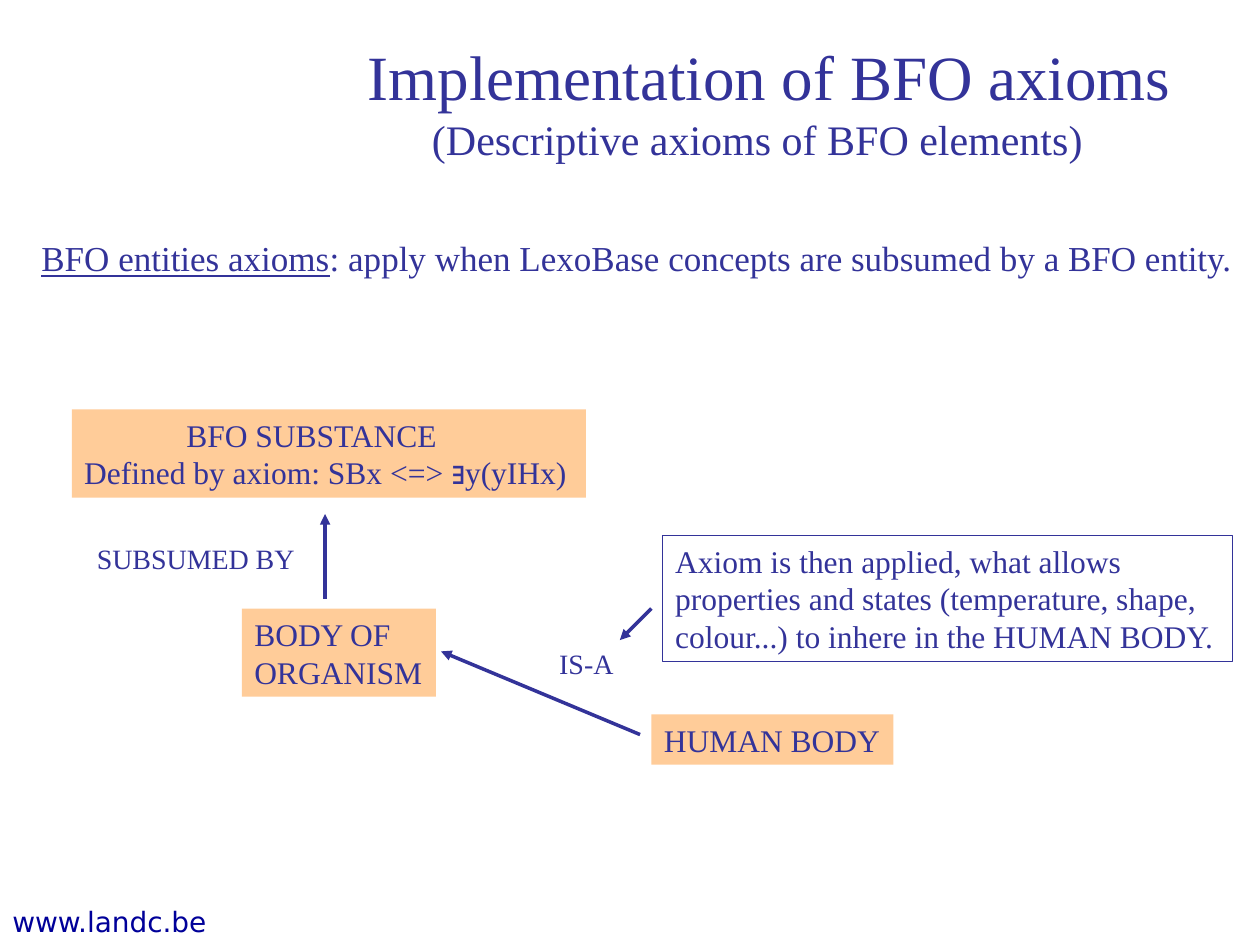
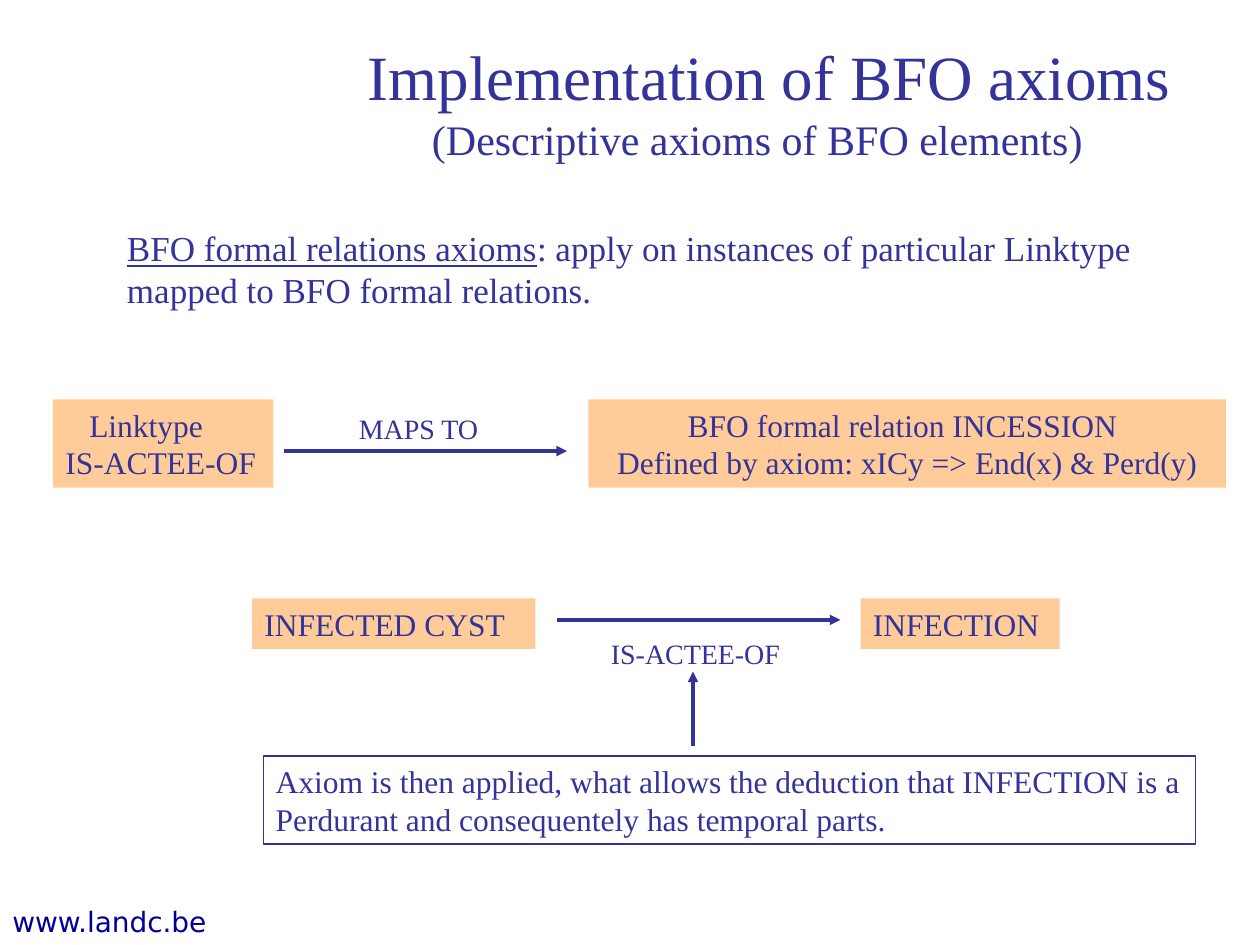
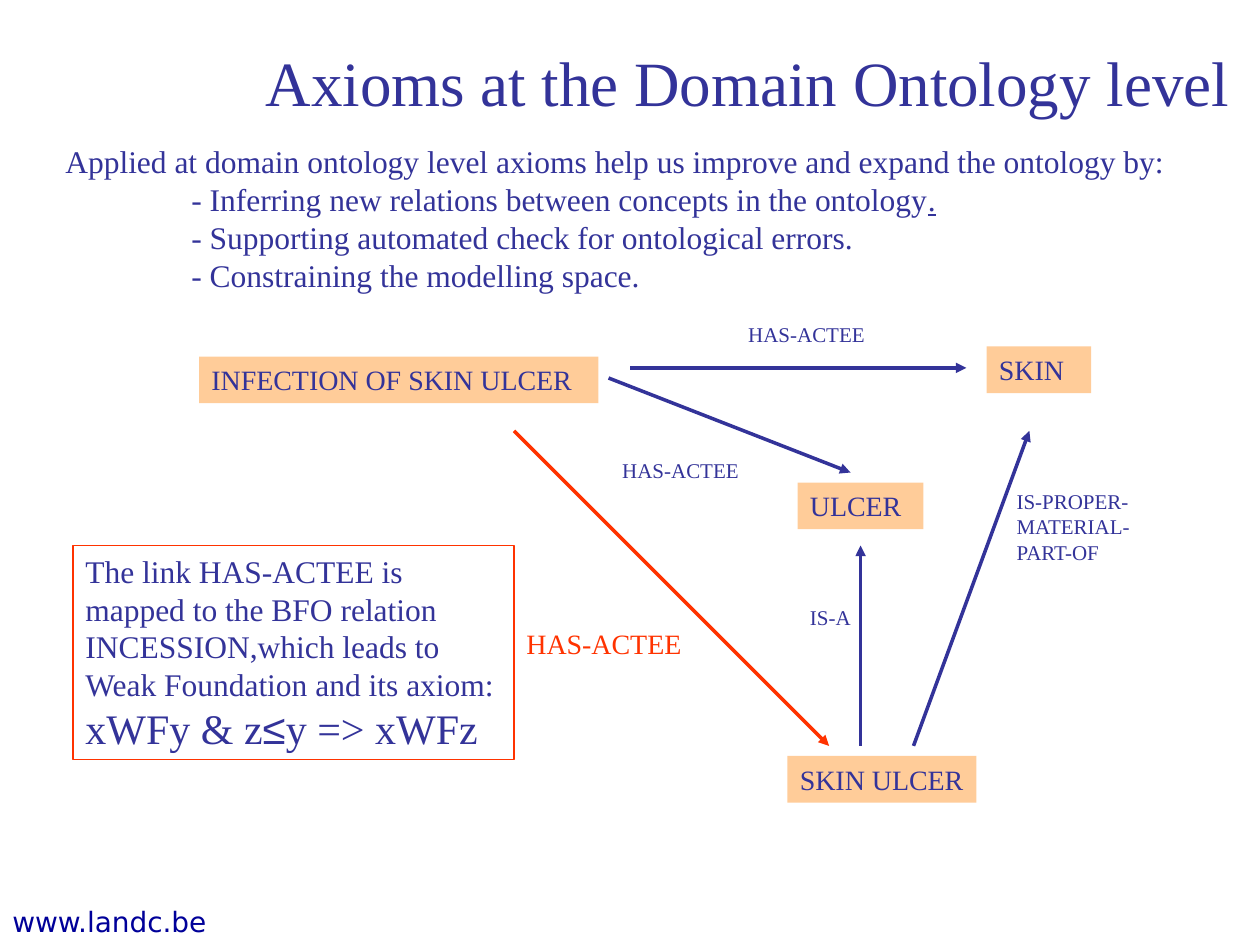
import pptx
import pptx.dml.color
import pptx.enum.shapes
import pptx.enum.text
import pptx.oxml
import pptx.oxml.ns
import pptx.util
from pptx.util import Inches

SERIF = "Times New Roman"
SYMBOL = "Arial"
INDIGO, PEACH, RED, NAVY = "333399", "FFCC99", "FF3300", "000099"


def color(hex_string):
    return pptx.dml.color.RGBColor.from_string(hex_string)


def fill_text(shape, paragraphs, size, ink=INDIGO, font=SERIF, indents=()):
    """Each paragraph is a string or a list of (text, overrides) runs."""
    frame = shape.text_frame
    frame.word_wrap = True
    frame.auto_size = pptx.enum.text.MSO_AUTO_SIZE.SHAPE_TO_FIT_TEXT
    frame.vertical_anchor = pptx.enum.text.MSO_ANCHOR.TOP
    for index, content in enumerate(paragraphs):
        paragraph = frame.paragraphs[0] if index == 0 else frame.add_paragraph()
        paragraph.alignment = pptx.enum.text.PP_ALIGN.LEFT
        if index < len(indents):
            paragraph._p.get_or_add_pPr().set("marL", str(Inches(indents[index])))
        runs = [(content, {})] if isinstance(content, str) else content
        for text, style in runs:
            run = paragraph.add_run()
            run.text = text
            run.font.name = style.get("font", font)
            run.font.size = pptx.util.Pt(style.get("size", size))
            run.font.underline = style.get("underline", False)
            run.font.color.rgb = color(ink)


class Region:
    """A part of a slide whose contents are placed relative to its corner."""

    def __init__(self, slide, left, top):
        self.shapes, self.left, self.top = slide.shapes, left, top

    def at(self, x, y):
        return Inches(self.left + x), Inches(self.top + y)

    def label(self, x, y, width, height, *paragraphs, size=16, **style):
        box = self.shapes.add_textbox(*self.at(x, y), Inches(width), Inches(height))
        fill_text(box, paragraphs, size, **style)

    def rectangle(self, x, y, width, height, paragraphs, size, style):
        box = self.shapes.add_shape(pptx.enum.shapes.MSO_SHAPE.RECTANGLE,
                                    *self.at(x, y), Inches(width), Inches(height))
        box.shadow.inherit = False
        fill_text(box, paragraphs, size, **style)
        return box

    def concept(self, x, y, width, height, *paragraphs, size=18, **style):
        box = self.rectangle(x, y, width, height, paragraphs, size, style)
        box.fill.solid()
        box.fill.fore_color.rgb = color(PEACH)
        box.line.fill.background()

    def note(self, x, y, width, height, *paragraphs, border=INDIGO, **style):
        box = self.rectangle(x, y, width, height, paragraphs, 18, style)
        box.fill.background()
        box.line.color.rgb = color(border)
        box.line.width = pptx.util.Pt(0.75)

    def arrow(self, start, end, ink=INDIGO):
        link = self.shapes.add_connector(pptx.enum.shapes.MSO_CONNECTOR.STRAIGHT,
                                         *self.at(*start), *self.at(*end))
        link.line.color.rgb = color(ink)
        link.line.width = pptx.util.Pt(2)
        head = pptx.oxml.parse_xml(
            f'<a:tailEnd {pptx.oxml.ns.nsdecls("a")} type="triangle"/>')
        link.line._get_or_add_ln().append(head)
        link._element.spPr.append(
            pptx.oxml.parse_xml(f'<a:effectLst {pptx.oxml.ns.nsdecls("a")}/>'))


# Shared parts

def new_slide(prs):
    slide = prs.slides.add_slide(prs.slide_layouts[6])
    Region(slide, 0, 7.13).label(0, 0, 2, 0.37, "www.landc.be",
                                 ink=NAVY, font="DejaVu Sans")
    return slide


def title(slide, left, top, width, text):
    Region(slide, left, top).label(0, 0, width, 0.7, text, size=36)


def bfo_heading(slide):
    title(slide, 2.82, 0.25, 6.7, "Implementation of BFO axioms")
    Region(slide, 2.75, 0.85).label(0, 0, 6.11, 0.9, "(Descriptive axioms of BFO elements)",
                                    size=24, indents=[0.58])


def axiom_statement(slide, left, top, width, height, term, meaning):
    Region(slide, left, top).label(0, 0, width, height,
                                   [(term, {"underline": True}), (meaning, {})],
                                   size=20)


# Entity axioms

def substance_region(slide, left, top):
    region = Region(slide, left, top)
    region.concept(0.07, 0, 4.08, 0.7, "BFO SUBSTANCE",
                   [("Defined by axiom: SBx <=> ", {}), ("∃", {"font": SYMBOL}),
                    ("y(yIHx)", {})],
                   indents=[0.81])
    region.concept(1.42, 1.58, 1.54, 0.7, "BODY OF ORGANISM")
    region.arrow((2.08, 1.5), (2.08, 0.83))
    region.label(0.17, 1, 1.85, 0.37, "SUBSUMED BY")


def human_body_region(slide, left, top):
    region = Region(slide, left, top)
    region.concept(1.67, 1.42, 1.92, 0.4, "HUMAN BODY")
    region.arrow((1.58, 1.58), (0, 0.92))
    region.label(0.84, 0.83, 0.7, 0.37, "IS-A")
    region.note(1.76, 0, 4.52, 1, "Axiom is then applied, what allows",
                "properties and states (temperature, shape,",
                "colour...) to inhere in the HUMAN BODY.")
    region.arrow((1.67, 0.58), (1.42, 0.83))


def entity_axioms_slide(prs):
    slide = new_slide(prs)
    bfo_heading(slide)
    axiom_statement(slide, 0.23, 1.83, 9.75, 0.44, "BFO entities axioms",
                    ": apply when LexoBase concepts are subsumed by a BFO entity.")
    substance_region(slide, 0.5, 3.25)
    human_body_region(slide, 3.5, 4.25)


# Formal relation axioms

def mapping_region(slide, left, top):
    region = Region(slide, left, top)
    region.concept(4.25, 0, 5.06, 0.7, "BFO formal relation INCESSION",
                   "Defined by axiom: xICy => End(x) & Perd(y)", indents=[0.69, 0.13])
    region.concept(0, 0, 1.75, 0.7, "Linktype", "IS-ACTEE-OF", indents=[0.19])
    region.arrow((1.83, 0.41), (4.08, 0.41))
    region.label(2.33, 0.05, 1.25, 0.37, "MAPS TO")


def infection_region(slide, left, top):
    region = Region(slide, left, top)
    region.concept(0, 0, 2.25, 0.4, "INFECTED CYST")
    region.concept(4.83, 0, 1.58, 0.4, "INFECTION")
    region.arrow((2.42, 0.17), (4.67, 0.17))
    region.label(2.75, 0.25, 1.65, 0.37, "IS-ACTEE-OF")
    region.note(0.09, 1.25, 7.4, 0.7,
                "Axiom is then applied, what allows the deduction that INFECTION is a",
                "Perdurant and consequentely has temporal parts.")
    region.arrow((3.5, 1.17), (3.5, 0.58))


def relation_axioms_slide(prs):
    slide = new_slide(prs)
    bfo_heading(slide)
    axiom_statement(slide, 0.91, 1.75, 8.67, 0.77, "BFO formal relations axioms",
                    ": apply on instances of particular Linktype mapped to BFO"
                    " formal relations.")
    mapping_region(slide, 0.42, 3.17)
    infection_region(slide, 2, 4.75)


# Domain ontology level

def benefits_region(slide, left, top):
    Region(slide, left, top).label(
        0, 0, 9.05, 1.3,
        "Applied at domain ontology level axioms help us improve and expand the ontology by:",
        [("- Inferring new relations between concepts in the ontology", {}),
         (".", {"underline": True})],
        "- Supporting automated check for ontological errors.",
        "- Constraining the modelling space.",
        size=18, indents=[0, 1, 1, 1])


def ulcer_graph(slide, left, top):
    region = Region(slide, left, top)
    for name, x, y, width in [("INFECTION OF SKIN ULCER", 0, 0.33, 3.17),
                              ("ULCER", 4.75, 1.33, 1),
                              ("SKIN", 6.25, 0.25, 0.83),
                              ("SKIN ULCER", 4.67, 3.5, 1.5)]:
        region.concept(x, y, width, 0.37, name, size=16)
    for start, end in [((3.42, 0.42), (6.09, 0.42)),
                       ((5.67, 3.42), (6.59, 0.92)),
                       ((5.25, 3.42), (5.25, 1.83)),
                       ((3.25, 0.5), (5.17, 1.25))]:
        region.arrow(start, end)
    for x, y in [(4.26, 0), (3.26, 1.08)]:
        region.label(x, y, 1.2, 0.3, "HAS-ACTEE", size=12)
    region.label(6.39, 1.33, 1.2, 0.7, "IS-PROPER-", "MATERIAL-", "PART-OF", size=12)
    region.label(4.75, 2.25, 0.6, 0.3, "IS-A", size=12)


def inferred_link_region(slide, left, top):
    region = Region(slide, left, top)
    region.arrow((3.5, 0), (6, 2.5), ink=RED)
    region.label(3.5, 1.5, 1.5, 0.37, "HAS-ACTEE", ink=RED)
    region.note(0, 0.91, 3.5, 1.7,
                "The link HAS-ACTEE is mapped to the BFO relation INCESSION,"
                "which leads to Weak Foundation and its axiom:",
                [("xWFy & z", {"size": 24}), ("≤", {"size": 24, "font": SYMBOL}),
                 ("y => xWFz", {"size": 24})],
                border=RED)


def domain_level_slide(prs):
    slide = new_slide(prs)
    title(slide, 2.01, 0.3, 7.95, "Axioms at the Domain Ontology level")
    benefits_region(slide, 0.42, 1.08)
    ulcer_graph(slide, 1.58, 2.5)
    inferred_link_region(slide, 0.58, 3.42)


def main():
    prs = pptx.Presentation()
    prs.slide_width, prs.slide_height = Inches(10), Inches(7.5)
    entity_axioms_slide(prs)
    relation_axioms_slide(prs)
    domain_level_slide(prs)
    prs.save("out.pptx")


if __name__ == "__main__":
    main()
